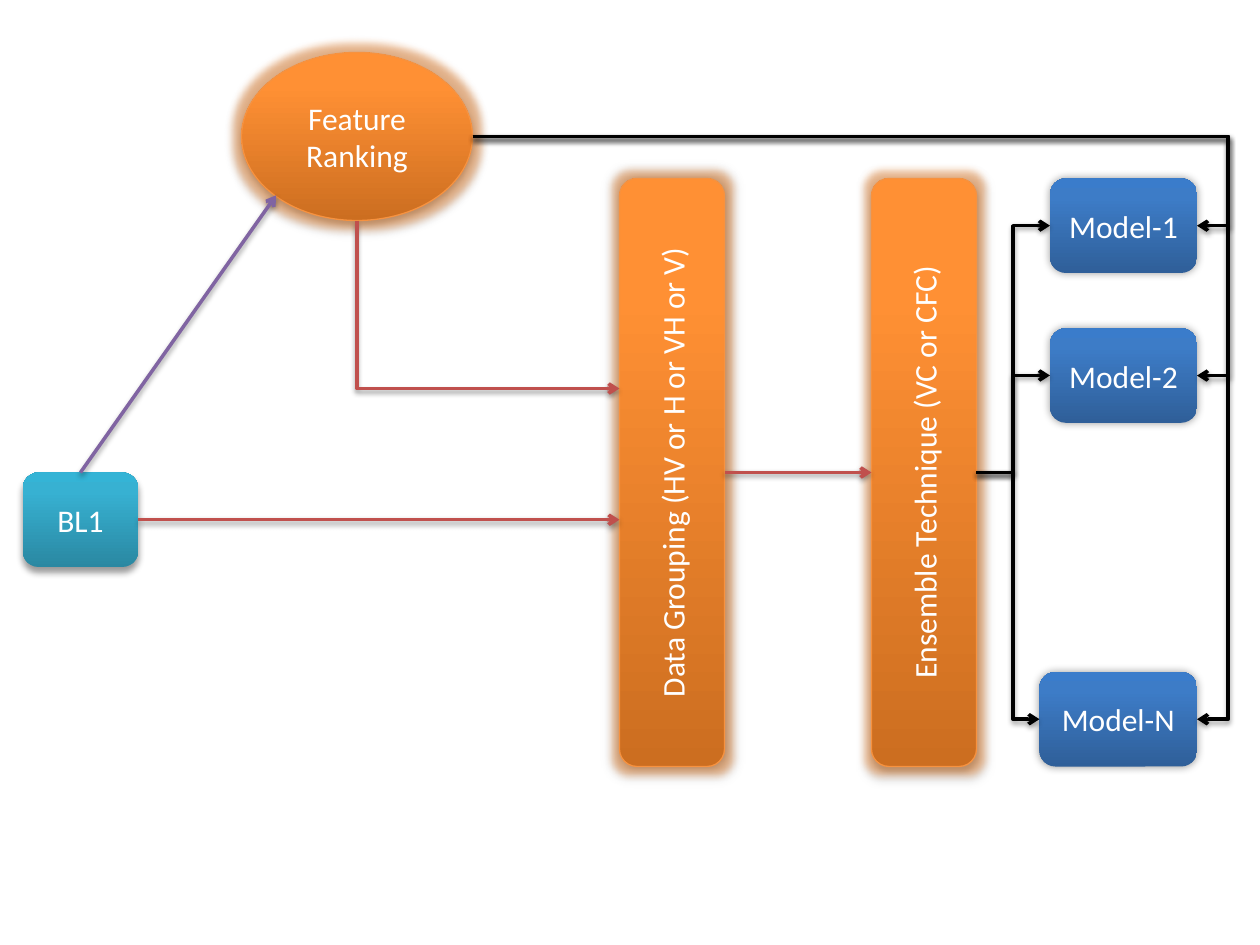
from lxml import etree
from pptx import Presentation, util as u
from pptx.dml.color import RGBColor
from pptx.enum import shapes, text
from pptx.oxml.ns import qn

Pt = u.Pt
WHITE = RGBColor(0xFF, 0xFF, 0xFF)
BLACK = RGBColor(0, 0, 0)
RED = RGBColor(0xC0, 0x50, 0x4D)
PURPLE = RGBColor(0x80, 0x64, 0xA2)
ORANGE = RGBColor(0xF6, 0x92, 0x40)
GLOW = RGBColor(0xE4, 0x6C, 0x0A)
TEAL_STOPS = [(0, RGBColor(0x2A, 0x88, 0xA2)), (80, RGBColor(0x37, 0xB1, 0xD2)), (100, RGBColor(0x34, 0xB4, 0xD6))]
BLUE_STOPS = [(0, RGBColor(0x2F, 0x5F, 0x99)), (80, RGBColor(0x3D, 0x7C, 0xC7)), (100, RGBColor(0x3A, 0x7C, 0xCB))]
ORANGE_STOPS = [(0, RGBColor(0xCC, 0x6E, 0x20)), (80, RGBColor(0xFF, 0x90, 0x34)), (100, RGBColor(0xFF, 0x91, 0x36))]

BELOW = (40, 4, 3, 90)
AROUND = (40, 5, 0, 0)
SOFT = (35, 3.1, 1.8, 90)
LINE_SHADOW = (38, 3.1, 1.6, 90)
ROUND = shapes.MSO_SHAPE.ROUNDED_RECTANGLE
OVAL = shapes.MSO_SHAPE.OVAL

NODES = [
    ("BL1", ROUND, (13, 270, 66, 54), TEAL_STOPS, BELOW, False),
    ("Model-1", ROUND, (600, 102, 84, 54), BLUE_STOPS, AROUND, False),
    ("Model-2", ROUND, (600, 187.6, 84, 54), BLUE_STOPS, AROUND, False),
    ("Model-N", ROUND, (594, 384, 90, 54), BLUE_STOPS, AROUND, False),
    ("Ensemble Technique (VC or CFC)", ROUND, (498, 102, 60, 336), ORANGE_STOPS, SOFT, True),
    ("Data Grouping (HV or H or VH or V)", ROUND, (354, 102, 60, 336), ORANGE_STOPS, AROUND, True),
    ("Feature Ranking", OVAL, (138, 30, 132, 96), ORANGE_STOPS, SOFT, False),
]
MODELS = ["Model-1", "Model-2", "Model-N"]
LEFT_TRUNK, RIGHT_TRUNK = 579, 702

presentation = Presentation()
presentation.slide_width, presentation.slide_height = Pt(720), Pt(540)
slide = presentation.slides.add_slide(presentation.slide_layouts[6])
boxes = {label: box for label, _, box, *_ in NODES}


def add(parent, tag, **attributes):
    return etree.SubElement(parent, qn(tag), {key: str(value) for key, value in attributes.items()})


def add_color(parent, color, alpha=None):
    element = add(parent, "a:srgbClr", val=color)
    if alpha is not None:
        add(element, "a:alpha", val=alpha * 1000)


def add_effects(properties, shadow, glow=False):
    effects = properties.find(qn("a:effectLst"))
    if effects is None:
        effects = add(properties, "a:effectLst")
    if glow:
        add_color(add(effects, "a:glow", rad=Pt(9)), GLOW, 40)
    alpha, blur, distance, angle = shadow
    add_color(add(effects, "a:outerShdw", blurRad=Pt(blur), dist=Pt(distance),
                  dir=angle * 60000, rotWithShape=0), BLACK, alpha)


def add_gradient(properties, stops):
    gradient = etree.Element(qn("a:gradFill"), rotWithShape="1")
    stop_list = add(gradient, "a:gsLst")
    for position, color in stops:
        add_color(add(stop_list, "a:gs", pos=position * 1000), color)
    add(gradient, "a:lin", ang=270 * 60000, scaled=0)
    properties.find(qn("a:prstGeom")).addnext(gradient)


def add_node(label, kind, box, stops, shadow, vertical):
    shape = slide.shapes.add_shape(kind, *map(Pt, box))
    properties = shape._element.spPr
    add_gradient(properties, stops)
    glowing = stops is ORANGE_STOPS
    if glowing:
        shape.line.color.rgb = ORANGE
        shape.line.width = Pt(0.75)
    else:
        shape.line.fill.background()
    shape.shadow.inherit = False
    add_effects(properties, shadow, glowing)
    frame = shape.text_frame
    frame.word_wrap = True
    frame.vertical_anchor = text.MSO_ANCHOR.MIDDLE
    if vertical:
        frame._txBody.bodyPr.set("vert", "vert270")
    paragraph = frame.paragraphs[0]
    paragraph.alignment = text.PP_ALIGN.CENTER
    run = paragraph.add_run()
    run.text = label
    for key, value in {"size": Pt(18), "name": "Calibri"}.items():
        setattr(run.font, key, value)
    run.font.color.rgb = WHITE


def add_arrow(start, end, color, trunk=None):
    kind = shapes.MSO_CONNECTOR.STRAIGHT if trunk is None else shapes.MSO_CONNECTOR.ELBOW
    connector = slide.shapes.add_connector(kind, *map(Pt, start + end))
    connector.line.color.rgb = color
    connector.line.width = Pt(2)
    properties = connector._element.spPr
    add(properties.find(qn("a:ln")), "a:tailEnd", type="arrow")
    add_effects(properties, LINE_SHADOW)
    if trunk is not None:
        ratio = (trunk - start[0]) / (end[0] - start[0])
        guides = properties.find(qn("a:prstGeom")).get_or_add_avLst()
        add(guides, "a:gd", name="adj1", fmla=f"val {round(ratio * 100000)}")
    return connector


def add_corner_arrow(start, end, color):
    connector = add_arrow(start, end, color)
    width, height = end[0] - start[0], end[1] - start[1]
    connector.left = Pt((start[0] + end[0] - height) / 2)
    connector.top = Pt((start[1] + end[1] - width) / 2)
    connector.width, connector.height = Pt(height), Pt(width)
    properties = connector._element.spPr
    properties.find(qn("a:prstGeom")).set("prst", "bentConnector2")
    frame = properties.find(qn("a:xfrm"))
    frame.set("rot", str(270 * 60000))
    frame.set("flipH", "1")


def side(label, across, down=0.5):
    left, top, width, height = boxes[label]
    return left + width * across, top + height * down


for node in NODES:
    add_node(*node)

grouping, ensemble = NODES[5][0], NODES[4][0]
ranking = "Feature Ranking"
add_arrow(side("BL1", 0.5, 0), side(ranking, 0.15, 0.85), PURPLE)
add_corner_arrow(side(ranking, 0.5, 1), (354, 222), RED)
add_arrow(side(grouping, 1), side(ensemble, 0), RED)
for model in MODELS:
    add_arrow(side(ranking, 1), side(model, 1), BLACK, RIGHT_TRUNK)
    add_arrow(side(ensemble, 1), side(model, 0), BLACK, LEFT_TRUNK)
add_arrow(side("BL1", 1), (354, 297), RED)

presentation.save("out.pptx")
